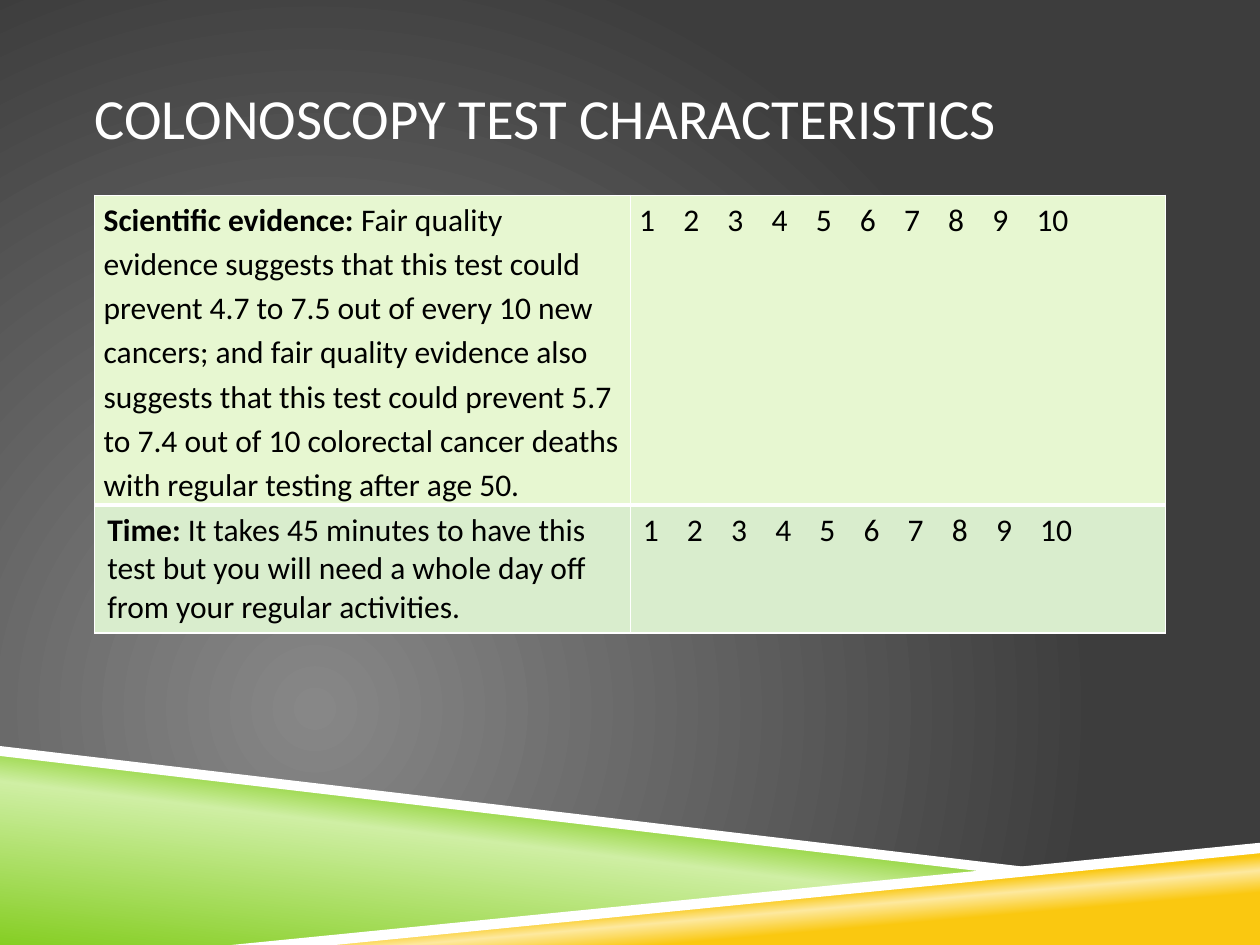
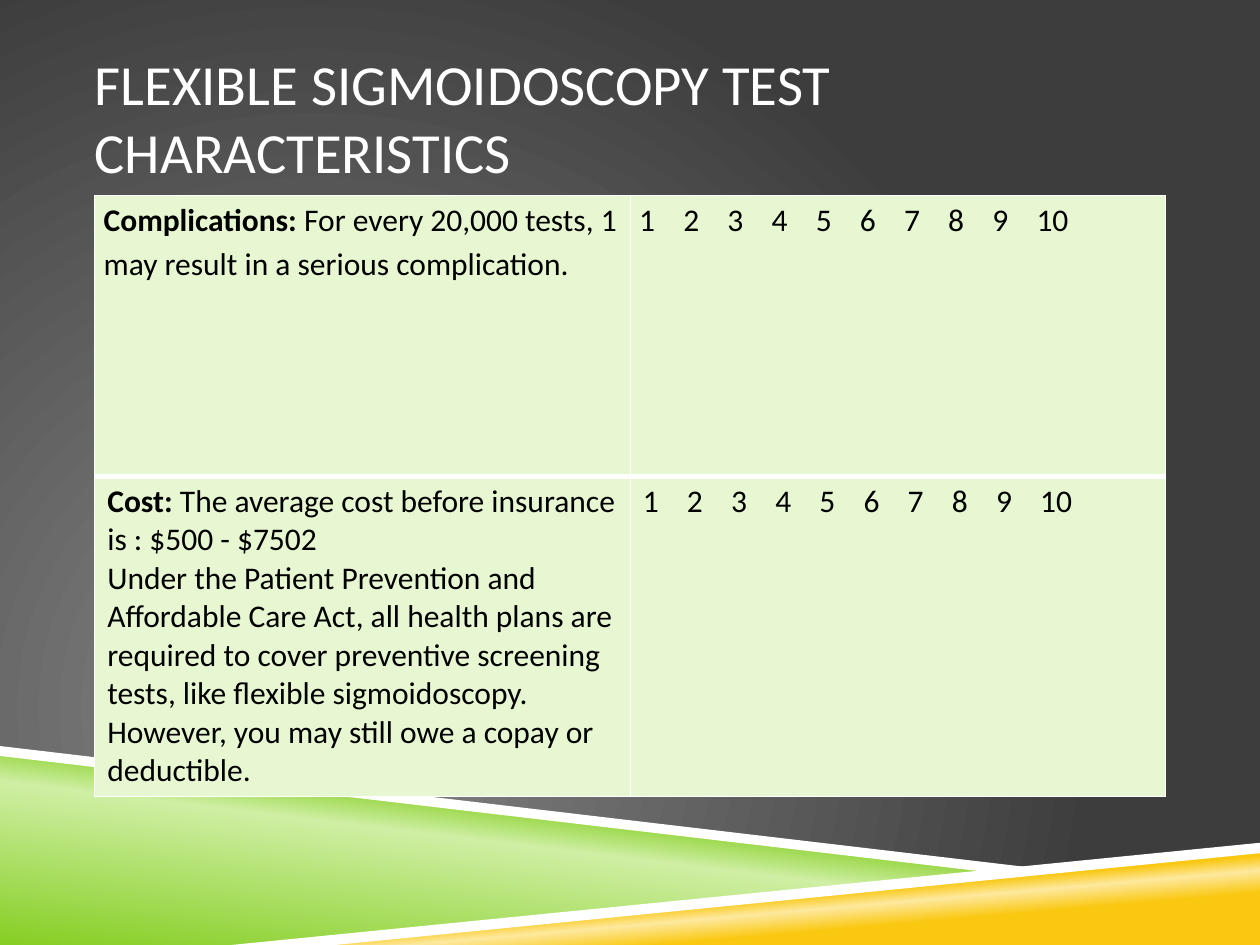
"""Build two slides that rate the features of screening tests."""
import pptx
import pptx.dml.color
import pptx.enum.text
import pptx.oxml
import pptx.oxml.ns
import pptx.util
from lxml import etree

Cm, Pt = pptx.util.Cm, pptx.util.Pt
RGB = pptx.dml.color.RGBColor
qn = pptx.oxml.ns.qn

WHITE = RGB(0xFF, 0xFF, 0xFF)
BLACK = RGB(0, 0, 0)
PALE = RGB(0xE7, 0xF7, 0xD1)
MINT = RGB(0xD9, 0xED, 0xCD)
GOLD = RGB(0xFA, 0xC8, 0x10)
CREAM = RGB(0xFD, 0xE9, 0x9F)
GREEN = RGB(0x86, 0xCE, 0x24)
LIGHT = RGB(0xCF, 0xEF, 0xA4)
GREY = RGB(0x87, 0x87, 0x87)
DARK = RGB(0x3D, 0x3D, 0x3D)

FONT = "Calibri"
WIDE, HIGH = Cm(25.4), Cm(19.05)
TITLE = (Cm(1.91), Cm(0.76), Cm(21.59), Cm(3.18))
GRID = (Cm(1.91), Cm(3.94), Cm(21.59))
FOOT = (Cm(0), Cm(15.04))
STEP = 0.89
SCALE = [("", "\t".join(str(mark) for mark in range(1, 11)))]

GLOW = ('<a:path path="circle"><a:fillToRect l="50000" t="100000" '
        'r="100000" b="50000"/></a:path>')
BANDS = [
    ([(5.03, 4.01), (25.4, 2.03), (25.4, 4.01)],
     [(28, GOLD), (40, CREAM), (48, GOLD)], 265),
    ([(0, 0.12), (20.12, 2.54), (5.08, 4.01), (0, 4.01)],
     [(0, GREEN), (52, LIGHT), (66, GREEN)], 277),
    ([(0, 0), (0, 0.2), (20.07, 2.56), (21.13, 2.49)], None, 0),
    ([(25.4, 1.95), (4.67, 4.01), (6.76, 4.01), (25.4, 2.16)], None, 0),
]

SLIDES = [
    ("COLONOSCOPY TEST CHARACTERISTICS", [
        (3.58, PALE, [("Scientific evidence: ",
                       "Fair quality evidence suggests that this test could "
                       "prevent 4.7 to 7.5 out of every 10 new cancers; and "
                       "fair quality evidence also suggests that this test "
                       "could prevent 5.7 to 7.4 out of 10 colorectal cancer "
                       "deaths with regular testing after age 50.")]),
        (2.26, MINT, [("Time:",
                       " It takes 45 minutes to have this test but you will "
                       "need a whole day off from your regular activities.")]),
    ]),
    ("FLEXIBLE SIGMOIDOSCOPY TEST CHARACTERISTICS", [
        (5.66, PALE, [("Complications: ",
                       "For every 20,000 tests, 1 may result in a serious "
                       "complication.")]),
        (5.66, PALE, [("Cost: ", "The average cost before insurance is : "
                                 "$500 - $7502"),
                      ("", "Under the Patient Prevention and Affordable Care "
                           "Act, all health plans are required to cover "
                           "preventive screening tests, like flexible "
                           "sigmoidoscopy. However, you may still owe a copay "
                           "or deductible.")]),
    ]),
]


def make(xml):
    """Return an element of the drawing namespace."""
    return pptx.oxml.parse_xml(
        xml.replace(" ", f' {pptx.oxml.ns.nsdecls("a")} ', 1))


def blend(fill, root, stops, course):
    """Fill with a gradient of the given stops and course."""
    fill.solid()
    marks = "".join(f'<a:gs pos="{pos * 1000}"><a:srgbClr val="{tone}"/></a:gs>'
                    for pos, tone in stops)
    old = root.find(".//" + qn("a:solidFill"))
    old.getparent().replace(old, make(
        f'<a:gradFill rotWithShape="1"><a:gsLst>{marks}</a:gsLst>'
        f'{course}</a:gradFill>'))


def style(font, size, tone):
    """Set the face, size and colour of a font."""
    font.name, font.size = FONT, Pt(size)
    font.color.rgb = tone


def draw_foot(slide, left, top):
    """Draw the slanted bands at the foot of a slide."""
    for points, stops, turn in BANDS:
        spots = [(left + Cm(x), top + Cm(y)) for x, y in points]
        pen = slide.shapes.build_freeform(*spots[0])
        pen.add_line_segments(spots[1:], close=True)
        band = pen.convert_to_shape()
        band.shadow.inherit = False
        band.line.fill.background()
        if stops:
            blend(band.fill, band._element.spPr, stops,
                  f'<a:lin ang="{turn * 60000}" scaled="0"/>')
        else:
            band.fill.solid()
            band.fill.fore_color.rgb = WHITE


def set_title(slide, text, left, top, width, height):
    """Place and format the title."""
    title = slide.shapes.title
    title.left, title.top, title.width, title.height = left, top, width, height
    frame = title.text_frame
    frame.text = text
    frame.word_wrap = True
    frame.auto_size = pptx.enum.text.MSO_AUTO_SIZE.NONE
    frame.vertical_anchor = pptx.enum.text.MSO_ANCHOR.MIDDLE
    frame.margin_left = frame.margin_right = 0
    para = frame.paragraphs[0]
    para.alignment = pptx.enum.text.PP_ALIGN.LEFT
    style(para.font, 32.4, WHITE)


def set_edges(cell, base):
    """Draw white cell borders with the given base weight."""
    props = cell._tc.get_or_add_tcPr()
    for spot, (side, size) in enumerate(
            [("L", 1), ("R", 1), ("T", 1), ("B", base)]):
        props.insert(spot, make(
            f'<a:ln{side} w="{Pt(size)}"><a:solidFill><a:srgbClr '
            f'val="{WHITE}"/></a:solidFill></a:ln{side}>'))


def add_tabs(para):
    """Add even tab stops for the rating scale."""
    tabs = etree.SubElement(para._p.get_or_add_pPr(), qn("a:tabLst"))
    for mark in range(1, 10):
        etree.SubElement(tabs, qn("a:tab"), pos=str(Cm(STEP * mark)), algn="l")


def fill_cell(cell, paras, tone, first):
    """Write and format one cell."""
    cell.fill.solid()
    cell.fill.fore_color.rgb = tone
    if first:
        cell.margin_left = cell.margin_right = Cm(0.18)
        cell.margin_top = cell.margin_bottom = 0
    set_edges(cell, 3 if first else 1)
    frame = cell.text_frame
    for spot, parts in enumerate(paras):
        para = frame.add_paragraph() if spot else frame.paragraphs[0]
        if first:
            para.line_spacing = 1.15
        if paras is SCALE:
            add_tabs(para)
        style(para.font, 18, BLACK)
        for text, bold in zip(parts, (True, False)):
            if text:
                run = para.add_run()
                run.text, run.font.bold = text, bold


def add_grid(slide, rows, left, top, width):
    """Add the table of features and rating scales."""
    tall = sum(Cm(high) for high, _, _ in rows)
    table = slide.shapes.add_table(len(rows), 2, left, top, width, tall).table
    table.first_row = table.horz_banding = False
    for spot, (high, tone, paras) in enumerate(rows):
        table.rows[spot].height = Cm(high)
        for col, text in enumerate((paras, SCALE)):
            fill_cell(table.cell(spot, col), text, tone, spot == 0)


def main():
    """Build and save the slides."""
    deck = pptx.Presentation()
    deck.slide_width, deck.slide_height = WIDE, HIGH
    master = deck.slide_master
    blend(master.background.fill, master.element.cSld,
          [(0, GREY), (100, DARK)], GLOW)
    for title, rows in SLIDES:
        slide = deck.slides.add_slide(deck.slide_layouts[5])
        draw_foot(slide, *FOOT)
        set_title(slide, title, *TITLE)
        add_grid(slide, rows, *GRID)
    deck.save("out.pptx")


if __name__ == "__main__":
    main()
